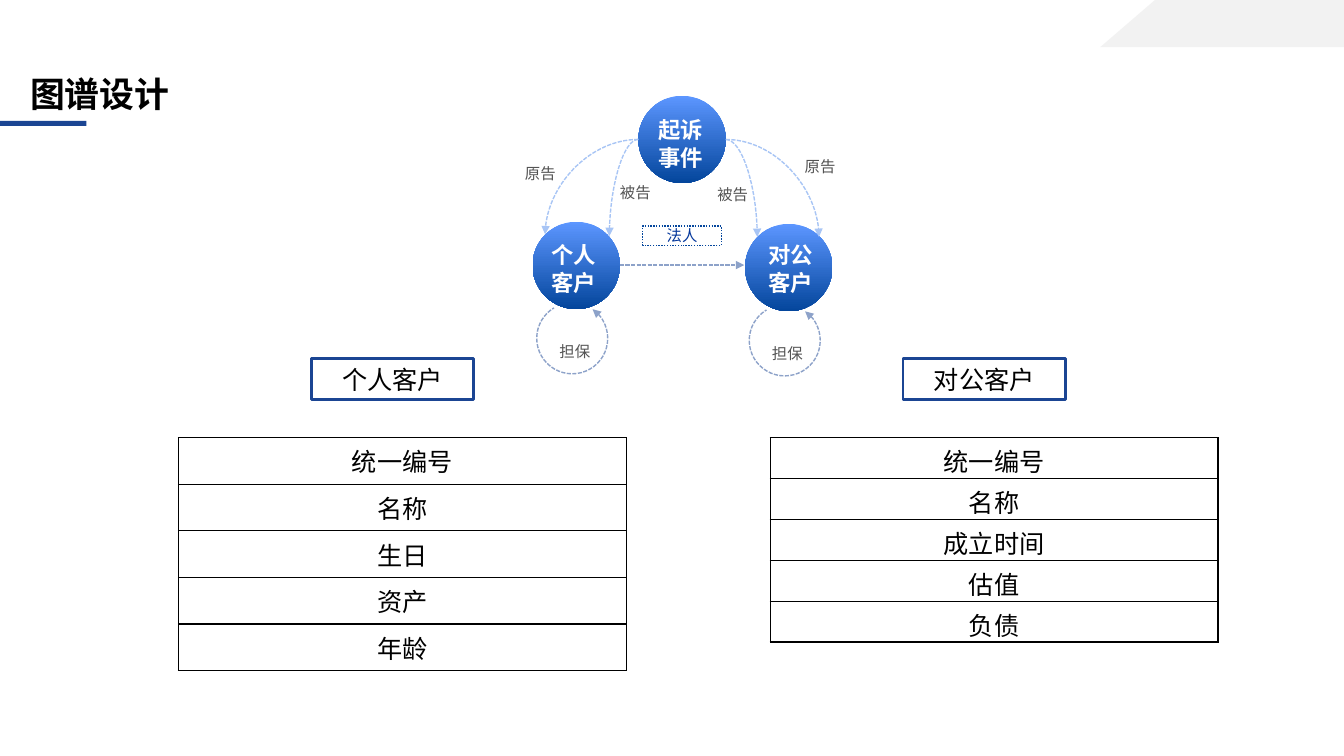
from lxml import etree
from pptx import Presentation, util as u
from pptx.dml.color import RGBColor
from pptx.enum import dml, shapes, text
from pptx.oxml import ns

FONT = "Noto Sans CJK SC"
NAVY = RGBColor(0x1B, 0x45, 0x93)
LIGHT_BLUE = RGBColor(0x5C, 0x96, 0xFF)
DEEP_BLUE = RGBColor(0x04, 0x46, 0x9C)
LEGAL_BLUE = RGBColor(0x04, 0x37, 0x9C)
STEEL = RGBColor(0x8D, 0xA2, 0xC9)
PALE_BLUE = RGBColor(0xA8, 0xC5, 0xF5)
CORNER_GRAY = RGBColor(0xF2, 0xF2, 0xF2)
LABEL_GRAY = RGBColor(0x53, 0x53, 0x53)
BLACK = RGBColor(0, 0, 0)
WHITE = RGBColor(255, 255, 255)

deck = Presentation()
deck.slide_width, deck.slide_height = u.Inches(13.333), u.Inches(7.5)
page = deck.slides.add_slide(deck.slide_layouts[6])

# Grid of 160 columns by 90 rows
COL = deck.slide_width / 160
ROW = deck.slide_height / 90


def place(left, top, width, height):
    return [round(n) for n in (left * COL, top * ROW, width * COL, height * ROW)]


def write(frame, words, size, color, bold=False, align=None, spacing=None, inset=0.05):
    frame.word_wrap = True
    frame.margin_left = frame.margin_right = u.Inches(inset)
    frame.margin_top = frame.margin_bottom = u.Inches(inset)
    frame.text = words
    para = frame.paragraphs[0]
    para.alignment = align
    para.line_spacing = spacing
    span = para.runs[0]
    span.font.size, span.font.bold, span.font.name = u.Pt(size), bold, FONT
    span.font.color.rgb = color
    etree.SubElement(span.font._element, ns.qn("a:ea"), typeface=FONT)


CENTER = text.PP_ALIGN.CENTER
MIDDLE = text.MSO_ANCHOR.MIDDLE

# Corner band, title and underline
builder = page.shapes.build_freeform(round(137.5 * COL), 0)
builder.add_line_segments(
    [(round(x * COL), round(y * ROW)) for x, y in [(160, 0), (160, 5.6), (131, 5.6)]])
corner = builder.convert_to_shape()
underline = page.shapes.add_shape(shapes.MSO_SHAPE.RECTANGLE, *place(0, 14.4, 10.3, 0.6))
for band, color in [(corner, CORNER_GRAY), (underline, NAVY)]:
    band.shadow.inherit = False
    band.fill.solid()
    band.fill.fore_color.rgb = color
    band.line.fill.background()

title = page.shapes.add_textbox(*place(3, 7.2, 150.5, 7))
write(title.text_frame, "图谱设计", 24.9, BLACK, bold=True, spacing=1.1)
title.text_frame.vertical_anchor = text.MSO_ANCHOR.BOTTOM

# Graph nodes: name, circle corner, name corner
NODES = [
    ("对公客户", 88.7, 26.65, 90.84, 28),
    ("个人客户", 63.4, 26.4, 65.04, 28),
    ("起诉事件", 76, 11.4, 77.76, 13.1),
]
labels = [("原告", 61.9, 19), ("原告", 95.2, 18.1), ("被告", 84.8, 21.4), ("被告", 73.2, 21.2)]
arrows = []
for name, left, top, name_left, name_top in NODES:
    circle = page.shapes.add_shape(shapes.MSO_SHAPE.OVAL, *place(left, top, 10.4, 10.4))
    circle.shadow.inherit = False
    circle.fill.gradient()
    circle.fill.gradient_angle = 270
    for stop, color in zip(circle.fill.gradient_stops, (LIGHT_BLUE, DEEP_BLUE)):
        stop.color.rgb = color
    circle.line.fill.background()
    box = page.shapes.add_textbox(*place(name_left, name_top, 7, 7.9))
    write(box.text_frame, name, 16, WHITE, bold=True, spacing=u.Pt(20))

    # Guarantee loop under each customer
    if name != "起诉事件":
        loop = page.shapes.add_shape(
            shapes.MSO_SHAPE.ARC, *place(left + 0.5, top + 9.65, 8.45, 8.45))
        loop.shadow.inherit = False
        for index, degrees in enumerate((305, 239)):
            loop.adjustments[index] = degrees * 0.6
        loop.fill.background()
        arrows.append((loop, STEEL, "a:headEnd"))
        labels.append(("担保", left + 2.6, top + 13.7))

# Links between nodes: kind, start, end, colour
CURVE, STRAIGHT = shapes.MSO_CONNECTOR.CURVE, shapes.MSO_CONNECTOR.STRAIGHT
LINKS = [
    (STRAIGHT, 73.8, 31.56, 88.6, 31.56, STEEL),
    (CURVE, 76, 16.6, 64.9, 27.9, PALE_BLUE),
    (CURVE, 76, 16.6, 72.55, 28.1, PALE_BLUE),
    (CURVE, 86.4, 16.6, 90.15, 28.2, PALE_BLUE),
    (CURVE, 86.4, 16.6, 97.5, 28.2, PALE_BLUE),
]
for kind, x1, y1, x2, y2, color in LINKS:
    link = page.shapes.add_connector(kind, *place(x1, y1, x2, y2))
    if kind == CURVE:
        link._element.spPr.find(ns.qn("a:prstGeom")).set("prst", "curvedConnector2")
    arrows.append((link, color, "a:tailEnd"))

for arrow, color, end in arrows:
    arrow.line.color.rgb = color
    arrow.line.width = u.Pt(1)
    arrow.line.dash_style = dml.MSO_LINE.SQUARE_DOT
    etree.SubElement(arrow.line._get_or_add_ln(), ns.qn(end), type="triangle")
    props = arrow._element.spPr
    if props.find(ns.qn("a:effectLst")) is None:
        etree.SubElement(props, ns.qn("a:effectLst"))

for words, left, top in labels:
    label = page.shapes.add_textbox(*place(left, top, 5.5, 3.6))
    write(label.text_frame, words, 11, LABEL_GRAY)

# Framed captions: words, place, line colour and width, text size, colour, spacing, inset
CAPTIONS = [
    ("法人", (76.5, 26.9, 9.4, 2.3), DEEP_BLUE, 1, 11, LEGAL_BLUE, u.Pt(13), 0),
    ("个人客户", (37.05, 42.7, 19.35, 4.9), NAVY, 2, 18, BLACK, None, 0.05),
    ("对公客户", (107.5, 42.7, 19.35, 4.9), NAVY, 2, 18, BLACK, None, 0.05),
]
for words, spot, edge, weight, size, color, spacing, inset in CAPTIONS:
    caption = page.shapes.add_shape(shapes.MSO_SHAPE.RECTANGLE, *place(*spot))
    caption.shadow.inherit = False
    caption.fill.solid()
    caption.fill.fore_color.rgb = WHITE
    caption.line.color.rgb = edge
    caption.line.width = u.Pt(weight)
    if words == "法人":
        caption.line.dash_style = dml.MSO_LINE.ROUND_DOT
    write(caption.text_frame, words, size, color, False, CENTER, spacing, inset)
    caption.text_frame.vertical_anchor = MIDDLE

# Field tables: left edge, row height, bottom margin, fields
TABLES = [
    (21.24, 5.55, 0.05, ["统一编号", "名称", "生日", "资产", "年龄"]),
    (91.7, 4.87, 0, ["统一编号", "名称", "成立时间", "估值", "负债"]),
]
for left, row_height, bottom, fields in TABLES:
    spot = place(left, 52.1, 53.3, row_height * len(fields))
    table = page.shapes.add_table(len(fields), 1, *spot).table
    table.first_row = table.horz_banding = False
    for row, field in zip(table.rows, fields):
        row.height = round(row_height * ROW)
        cell = row.cells[0]
        write(cell.text_frame, field, 18, BLACK, align=CENTER)
        cell.margin_top, cell.margin_bottom = u.Inches(0.05), u.Inches(bottom)
        props = cell._tc.get_or_add_tcPr()
        for side in ("a:lnL", "a:lnR", "a:lnT", "a:lnB"):
            border = etree.SubElement(props, ns.qn(side), w=str(u.Pt(1)))
            ink = etree.SubElement(border, ns.qn("a:solidFill"))
            etree.SubElement(ink, ns.qn("a:srgbClr"), val=str(BLACK))
        cell.fill.background()

deck.save("out.pptx")
